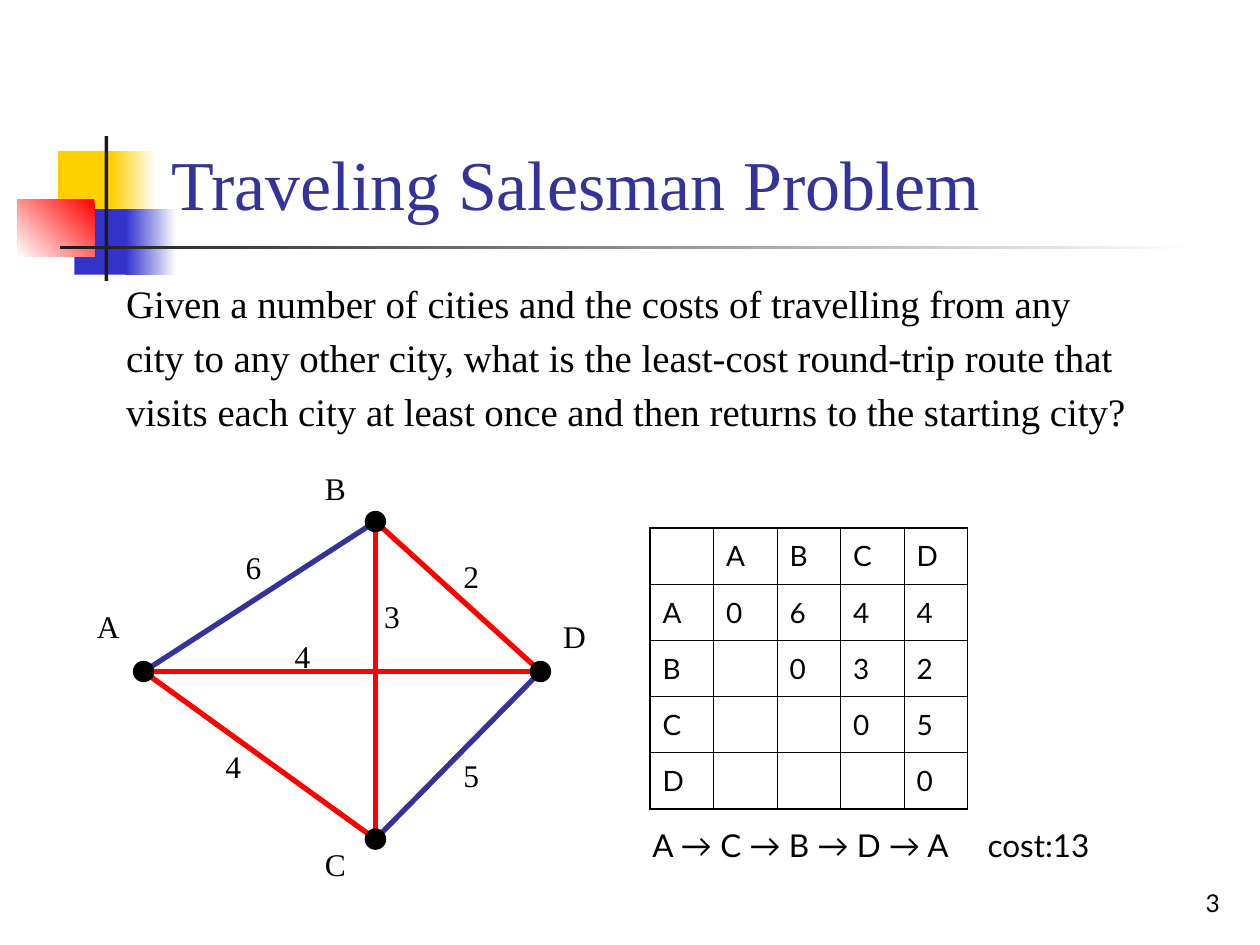
from lxml import etree
from pptx import Presentation
from pptx import util as u
from pptx.dml.color import RGBColor
from pptx.enum import shapes, text
from pptx.oxml.ns import qn

BLACK = RGBColor(0x00, 0x00, 0x00)
WHITE = RGBColor(0xFF, 0xFF, 0xFF)
INK = RGBColor(0x1C, 0x1C, 0x1C)
YELLOW = RGBColor(0xFF, 0xCF, 0x01)
BLUE = RGBColor(0x33, 0x33, 0xCC)
NAVY = RGBColor(0x33, 0x33, 0x99)
RED = RGBColor(0xFF, 0x00, 0x00)
SERIF, SANS = "Times New Roman", "Lato"


def write(frame, lines, font=SERIF, size=18, color=BLACK, align=text.PP_ALIGN.LEFT,
          anchor=text.MSO_ANCHOR.TOP, fit=text.MSO_AUTO_SIZE.NONE,
          spacing=None, before=0, hanging=None, tab=None):
    """Fill a text frame, one paragraph per line; hanging and tab are in inches."""
    frame.word_wrap = True
    frame.auto_size = fit
    frame.vertical_anchor = anchor
    for i, line in enumerate(lines.split("\n")):
        paragraph = frame.paragraphs[0] if i == 0 else frame.add_paragraph()
        paragraph.text = line
        paragraph.alignment = align
        paragraph.line_spacing = spacing
        paragraph.space_before = u.Pt(before if i else 0)
        properties = paragraph._p.get_or_add_pPr()
        if hanging:
            properties.set("marL", str(u.Inches(hanging)))
            properties.set("indent", str(-u.Inches(hanging)))
            etree.SubElement(properties, qn("a:buNone"))
        if tab:
            stops = etree.SubElement(properties, qn("a:tabLst"))
            etree.SubElement(stops, qn("a:tab"), pos=str(u.Inches(tab)), algn="l")
        paragraph.font.name = font
        paragraph.font.size = u.Pt(size)
        paragraph.font.color.rgb = color


def place(item, left, top, width, height):
    item.left, item.top = u.Inches(left), u.Inches(top)
    item.width, item.height = u.Inches(width), u.Inches(height)


prs = Presentation()
prs.slide_width, prs.slide_height = u.Inches(10), u.Inches(7.5)
slide = prs.slides.add_slide(prs.slide_layouts[1])
title, question = slide.placeholders

# Corner ornament behind the title: box, first colour, second colour, angle
ornament = [
    ((0.46, 1.2, 0.48, 0.52), YELLOW, None, None),
    ((0.88, 1.2, 0.36, 0.52), WHITE, YELLOW, 180),
    ((0.59, 1.66, 0.46, 0.52), BLUE, None, None),
    ((1, 1.66, 0.4, 0.52), WHITE, BLUE, 180),
    ((0.14, 1.58, 0.61, 0.46), RED, WHITE, 225),
    ((0.83, 1.08, 0.03, 1.15), INK, None, None),
    ((0.48, 1.95, 9, 0.03), WHITE, INK, 180),
]
for box, first, second, angle in ornament:
    block = slide.shapes.add_shape(shapes.MSO_SHAPE.RECTANGLE, *map(u.Inches, box))
    block.shadow.inherit = False
    block.line.fill.background()
    if second is None:
        block.fill.solid()
        block.fill.fore_color.rgb = first
    else:
        block.fill.gradient()
        block.fill.gradient_angle = angle
        for stop, color in zip(block.fill.gradient_stops, (first, second)):
            stop.color.rgb = color
    title.element.addprevious(block.element)

place(title, 1.26, 0.23, 8.52, 1.6)
write(title.text_frame, "Traveling Salesman Problem", size=40, color=NAVY,
      anchor=text.MSO_ANCHOR.BOTTOM)

place(question, 0.9, 2.21, 8.74, 1.47)
write(question.text_frame,
      "Given a number of cities and the costs of travelling from any\n"
      "city to any other city, what is the least-cost round-trip route that\n"
      "visits each city at least once and then returns to the starting city?",
      size=22.2, spacing=0.9, before=7, hanging=0.38)

# City graph
cities = {"A": (1.14, 5.33), "B": (2.98, 4.14), "C": (2.98, 6.66), "D": (4.29, 5.33)}
roads = [("BA", NAVY), ("BC", RED), ("AD", RED), ("AC", RED), ("BD", RED), ("CD", NAVY)]
for (start, end), color in roads:
    road = slide.shapes.add_connector(
        shapes.MSO_CONNECTOR.STRAIGHT, *map(u.Inches, cities[start] + cities[end]))
    road.line.color.rgb = color
    road.line.width = u.Pt(3)
    etree.SubElement(road.element.spPr, qn("a:effectLst"))

DOT = 0.16
for x, y in cities.values():
    dot = slide.shapes.add_shape(
        shapes.MSO_SHAPE.OVAL, u.Inches(x - DOT / 2), u.Inches(y - DOT / 2),
        u.Inches(DOT), u.Inches(DOT))
    dot.shadow.inherit = False
    dot.fill.solid()
    dot.fill.fore_color.rgb = BLACK
    dot.line.color.rgb = BLACK
    dot.line.width = u.Pt(0.75)

labels = [
    ("A", 0.67, 4.77), ("B", 2.48, 3.67), ("C", 2.48, 6.66), ("D", 4.37, 4.85),
    ("2", 3.58, 4.37), ("4", 2.24, 5.01), ("3", 2.95, 4.69), ("6", 1.85, 4.3),
    ("5", 3.58, 5.95), ("4", 1.69, 5.88),
]
for name, left, top in labels:
    label = slide.shapes.add_textbox(*map(u.Inches, (left, top, 0.39, 0.4)))
    write(label.text_frame, name, fit=text.MSO_AUTO_SIZE.SHAPE_TO_FIT_TEXT)

route = slide.shapes.add_textbox(*map(u.Inches, (5.08, 6.51, 3.94, 0.4)))
write(route.text_frame, "A → C → B → D → A\tcost:13", font=SANS, tab=2.66,
      fit=text.MSO_AUTO_SIZE.SHAPE_TO_FIT_TEXT)

# Cost matrix
costs = [
    ["", "A", "B", "C", "D"],
    ["A", "0", "6", "4", "4"],
    ["B", "", "0", "3", "2"],
    ["C", "", "", "0", "5"],
    ["D", "", "", "", "0"],
]
last = len(costs) - 1
matrix = slide.shapes.add_table(
    len(costs), len(costs), *map(u.Inches, (5.16, 4.19, 2.52, 2.23))).table
matrix.first_row = matrix.horz_banding = False
for r, row in enumerate(costs):
    for c, cost in enumerate(row):
        cell = matrix.cell(r, c)
        write(cell.text_frame, cost, font=SANS, size=16)
        cell.vertical_anchor = text.MSO_ANCHOR.MIDDLE
        outer = {"L": c == 0, "R": c == last, "T": r == 0, "B": r == last}
        for side, is_outer in outer.items():
            border = etree.SubElement(cell._tc.get_or_add_tcPr(), qn(f"a:ln{side}"),
                                      w=str(u.Pt(1.08 if is_outer else 0.45)))
            fill = etree.SubElement(border, qn("a:solidFill"))
            etree.SubElement(fill, qn("a:srgbClr"), val=str(BLACK))
        cell.fill.background()

page_number = slide.shapes.add_textbox(*map(u.Inches, (7.7, 6.83, 2.08, 0.5)))
write(page_number.text_frame, "3", font=SANS, size=14, align=text.PP_ALIGN.RIGHT,
      anchor=text.MSO_ANCHOR.BOTTOM)

prs.save("out.pptx")
